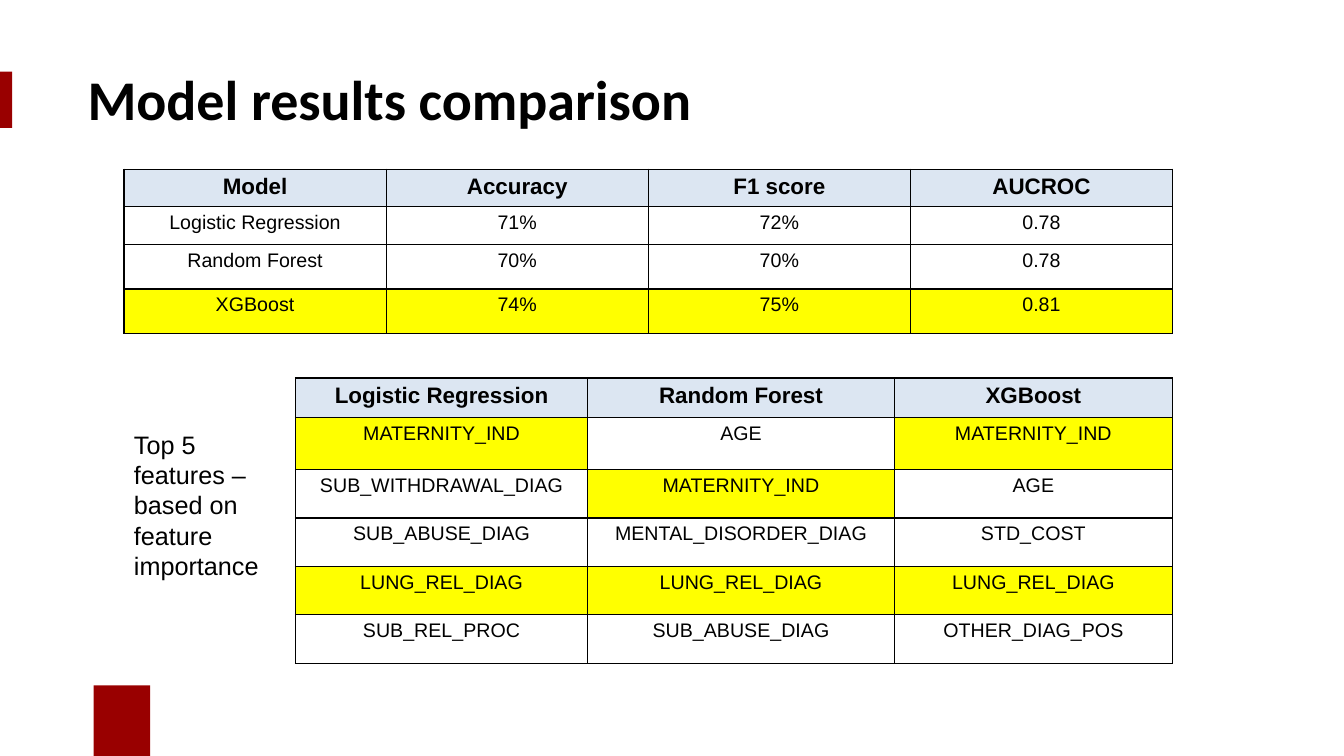
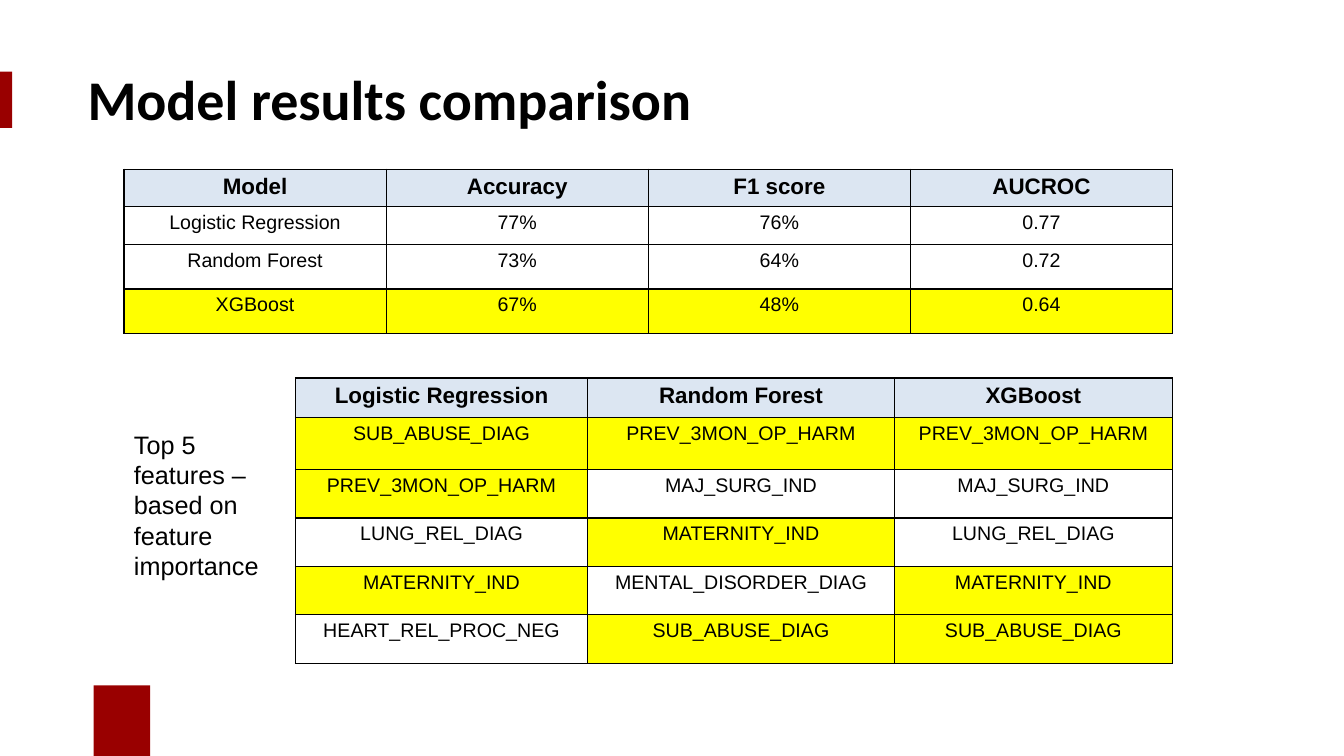
from lxml.etree import SubElement
from pptx import Presentation
from pptx.dml.color import RGBColor
from pptx.enum.shapes import MSO_SHAPE as Shape
from pptx.enum.text import MSO_ANCHOR as Anchor, PP_ALIGN as Align
from pptx.oxml.ns import qn
from pptx.util import Inches, Pt

COLORS = {"text": "000000", "band": "990000", "head": "DCE6F2", "mark": "FFFF00"}
TITLE = "Model results comparison"
NOTE = "Top 5 features – based on feature importance"
MODELS = ["Logistic Regression", "Random Forest", "XGBoost"]
METRICS = ["Model", "Accuracy", "F1 score", "AUCROC"]
MARKED = "XGBoost"
BANDS = [(0, 0.71, 0.12, 0.56), (0.93, 6.8, 0.56, 0.7)]

# Scores follow the order of MODELS; each feature row has one entry per model.
SLIDES = [
    {
        "scores": [("71%", "72%", "0.78"), ("70%", "70%", "0.78"), ("74%", "75%", "0.81")],
        "features": [
            ("MATERNITY_IND", "AGE", "MATERNITY_IND"),
            ("SUB_WITHDRAWAL_DIAG", "MATERNITY_IND", "AGE"),
            ("SUB_ABUSE_DIAG", "MENTAL_DISORDER_DIAG", "STD_COST"),
            ("LUNG_REL_DIAG", "LUNG_REL_DIAG", "LUNG_REL_DIAG"),
            ("SUB_REL_PROC", "SUB_ABUSE_DIAG", "OTHER_DIAG_POS"),
        ],
    },
    {
        "scores": [("77%", "76%", "0.77"), ("73%", "64%", "0.72"), ("67%", "48%", "0.64")],
        "features": [
            ("SUB_ABUSE_DIAG", "PREV_3MON_OP_HARM", "PREV_3MON_OP_HARM"),
            ("PREV_3MON_OP_HARM", "MAJ_SURG_IND", "MAJ_SURG_IND"),
            ("LUNG_REL_DIAG", "MATERNITY_IND", "LUNG_REL_DIAG"),
            ("MATERNITY_IND", "MENTAL_DISORDER_DIAG", "MATERNITY_IND"),
            ("HEART_REL_PROC_NEG", "SUB_ABUSE_DIAG", "SUB_ABUSE_DIAG"),
        ],
    },
]


def color(name):
    return RGBColor.from_string(COLORS[name])


def write(frame, text, size=18, font="Arial", bold=False, align=Align.LEFT):
    frame.word_wrap = True
    para = frame.paragraphs[0]
    para.alignment = align
    run = para.add_run()
    run.text = text
    run.font.name, run.font.size, run.font.bold = font, Pt(size), bold
    run.font.color.rgb = color("text")


def add_text(slide, box, text, anchor=Anchor.TOP, **style):
    frame = slide.shapes.add_textbox(*map(Inches, box)).text_frame
    frame.vertical_anchor = anchor
    write(frame, text, **style)


def add_band(slide, box):
    band = slide.shapes.add_shape(Shape.RECTANGLE, *map(Inches, box))
    band.shadow.inherit = False
    band.fill.solid()
    band.fill.fore_color.rgb = color("band")
    band.line.fill.background()


def add_border(cell):
    props = cell._tc.get_or_add_tcPr()
    for side in ("lnL", "lnR", "lnT", "lnB"):
        line = SubElement(props, qn(f"a:{side}"), w=str(Pt(1)))
        fill = SubElement(line, qn("a:solidFill"))
        SubElement(fill, qn("a:srgbClr"), val=COLORS["text"])


def add_table(slide, left, top, widths, heights, rows, marked):
    """Draw rows, the first as header; marked(row, text) picks highlighted cells."""
    box = map(Inches, (left, top, sum(widths), sum(heights)))
    table = slide.shapes.add_table(len(rows), len(widths), *box).table
    table.horz_banding = False
    for col, width in zip(table.columns, widths):
        col.width = Inches(width)
    for r, (row, height) in enumerate(zip(rows, heights)):
        table.rows[r].height = Inches(height)
        head = r == 0
        for c, text in enumerate(row):
            cell = table.cell(r, c)
            add_border(cell)
            if head or marked(row, text):
                cell.fill.solid()
                cell.fill.fore_color.rgb = color("head" if head else "mark")
            else:
                cell.fill.background()
            write(cell.text_frame, text, size=16 if head else 14, bold=head,
                  align=Align.CENTER)


def add_slide(deck, scores, features):
    slide = deck.slides.add_slide(deck.slide_layouts[6])
    for box in BANDS:
        add_band(slide, box)
    add_text(slide, (0.77, 0.4, 12.17, 1.14), TITLE, anchor=Anchor.MIDDLE,
             size=40, font="Calibri", bold=True)

    results = [METRICS] + [(model, *vals) for model, vals in zip(MODELS, scores)]
    add_table(slide, 1.23, 1.68, [2.6] * 4, [0.36, 0.38, 0.44, 0.44], results,
              lambda row, text: row[0] == MARKED)

    # A feature is highlighted when all models rank it in their top five.
    shared = set.intersection(*map(set, zip(*features)))
    add_table(slide, 2.93, 3.75, [2.9, 3.04, 2.76], [0.39, 0.52] + [0.48] * 4,
              [MODELS] + features, lambda row, text: text in shared)
    add_text(slide, (1.23, 4.21, 1.59, 1.62), NOTE)


def main():
    deck = Presentation()
    deck.slide_width, deck.slide_height = Inches(13.33), Inches(7.5)
    for data in SLIDES:
        add_slide(deck, **data)
    deck.save("out.pptx")


if __name__ == "__main__":
    main()
